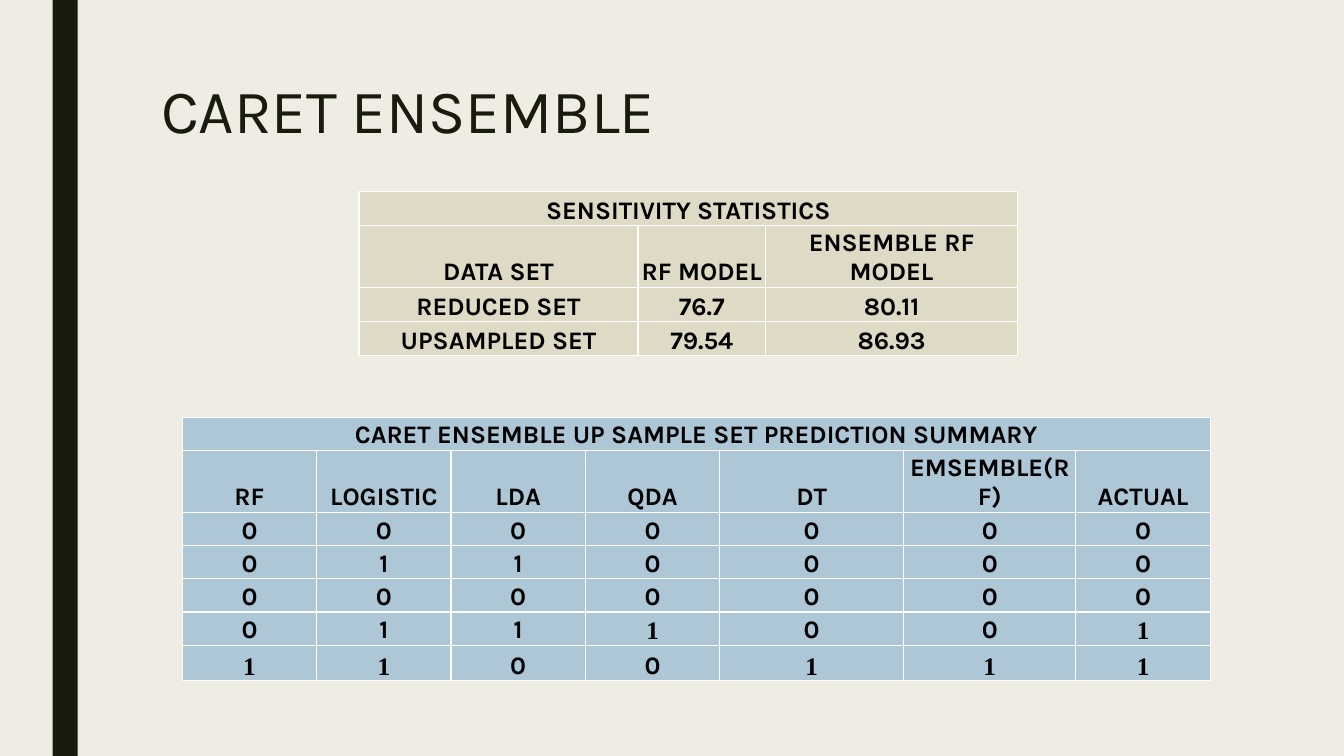
from lxml import etree
from pptx import Presentation
from pptx import util as u
from pptx.dml.color import RGBColor
from pptx.enum import shapes, text
from pptx.oxml import ns

COLS, ROWS = 160, 90
WIDTH, HEIGHT = u.Inches(13.33), u.Inches(7.5)
CREAM = RGBColor(0xEF, 0xED, 0xE3)
DARK = RGBColor(0x19, 0x1B, 0x0E)
SAND = RGBColor(0xDE, 0xDA, 0xC5)
BLUE = RGBColor(0xAD, 0xC7, 0xD6)
BLACK = RGBColor(0, 0, 0)
WHITE = RGBColor(0xFF, 0xFF, 0xFF)
SANS, SERIF = "Karla", "Times New Roman"

SENSITIVITY = [
    ["SENSITIVITY STATISTICS", "", ""],
    ["DATA SET", "RF MODEL", "ENSEMBLE RF MODEL"],
    ["REDUCED SET", "76.7", "80.11"],
    ["UPSAMPLED SET", "79.54", "86.93"],
]
PREDICTIONS = [
    ["CARET ENSEMBLE UP SAMPLE SET PREDICTION SUMMARY"] + [""] * 6,
    ["RF", "LOGISTIC", "LDA", "QDA", "DT", "EMSEMBLE(RF)", "ACTUAL"],
    *map(list, ["0000000", "0110000", "0000000", "0111001", "1100111"]),
]
SERIF_CELLS = {(5, 3), (5, 6), (6, 0), (6, 1), (6, 4), (6, 5), (6, 6)}


def across(cols):
    """Return the width of a number of grid columns."""
    return round(WIDTH * cols / COLS)


def down(rows):
    """Return the height of a number of grid rows."""
    return round(HEIGHT * rows / ROWS)


def add_bar(s, left, top, width, height):
    """Draw the dark vertical bar in the given grid box."""
    sp = s.shapes.add_shape(shapes.MSO_SHAPE.RECTANGLE, across(left), down(top),
                            across(width), down(height))
    sp.shadow.inherit = False
    sp.fill.solid()
    sp.fill.fore_color.rgb = DARK
    sp.line.fill.background()


def add_title(s, title, left, top, width, height):
    """Write the slide title in the given grid box."""
    sp = s.shapes.add_textbox(across(left), down(top), across(width), down(height))
    tf = sp.text_frame
    tf.word_wrap = True
    tf.text = title
    p = tf.paragraphs[0]
    p.line_spacing = 0.89
    r = p.runs[0]
    r.font.size, r.font.name = u.Pt(44), SANS
    r.font.color.rgb = DARK


def add_borders(cell):
    """Give a cell thin white lines on all four sides."""
    tc_pr = cell._tc.get_or_add_tcPr()
    for side in ("lnL", "lnR", "lnT", "lnB"):
        ln = etree.SubElement(tc_pr, ns.qn(f"a:{side}"), w=str(u.Pt(1)))
        fill = etree.SubElement(ln, ns.qn("a:solidFill"))
        etree.SubElement(fill, ns.qn("a:srgbClr"), val=str(WHITE))


def format_cell(cell, value, fill, font, anchor):
    """Fill, border and label one table cell."""
    add_borders(cell)
    cell.fill.solid()
    cell.fill.fore_color.rgb = fill
    cell.margin_left = cell.margin_right = cell.margin_top = u.Inches(0.01)
    cell.margin_bottom = 0
    cell.vertical_anchor = anchor
    cell.text_frame.text = value
    p = cell.text_frame.paragraphs[0]
    p.alignment = text.PP_ALIGN.CENTER
    for r in p.runs:
        r.font.size, r.font.name, r.font.bold = u.Pt(18), font, True
        r.font.color.rgb = BLACK


def add_data_table(s, data, left, top, widths, heights, fill,
                   heading_anchor=text.MSO_ANCHOR.BOTTOM, serif_cells=()):
    """Place a table whose first row is one heading merged across."""
    sp = s.shapes.add_table(len(heights), len(widths), across(left), down(top),
                            across(sum(widths)), down(sum(heights)))
    table = sp.table
    table.first_row = table.horz_banding = False
    for column, width in zip(table.columns, widths):
        column.width = across(width)
    for row, height in zip(table.rows, heights):
        row.height = down(height)
    for i, values in enumerate(data):
        for j, value in enumerate(values):
            font = SERIF if (i, j) in serif_cells else SANS
            anchor = text.MSO_ANCHOR.BOTTOM if i else heading_anchor
            format_cell(table.cell(i, j), value, fill, font, anchor)
    table.cell(0, 0).merge(table.cell(0, len(widths) - 1))


def build_ensemble_slide(prs):
    """Lay out the title above the sensitivity and prediction tables."""
    s = prs.slides.add_slide(prs.slide_layouts[6])
    s.background.fill.solid()
    s.background.fill.fore_color.rgb = CREAM
    add_bar(s, 6.25, 0, 3, ROWS)
    add_title(s, "CARET ENSEMBLE", 18, 9, 126, 19.5)
    add_data_table(s, SENSITIVITY, 42.75, 22.8, [33.2, 15.2, 30],
                   [4.08, 4.3, 4.08, 4.08], SAND)
    add_data_table(s, PREDICTIONS, 21.7, 49.7, [16] * 4 + [21.9, 20.5, 16],
                   [3.96, 3.6] + [3.96] * 4 + [4.2], BLUE,
                   text.MSO_ANCHOR.MIDDLE, SERIF_CELLS)


def main():
    """Build and save the presentation."""
    prs = Presentation()
    prs.slide_width, prs.slide_height = WIDTH, HEIGHT
    build_ensemble_slide(prs)
    prs.save("out.pptx")


if __name__ == "__main__":
    main()
